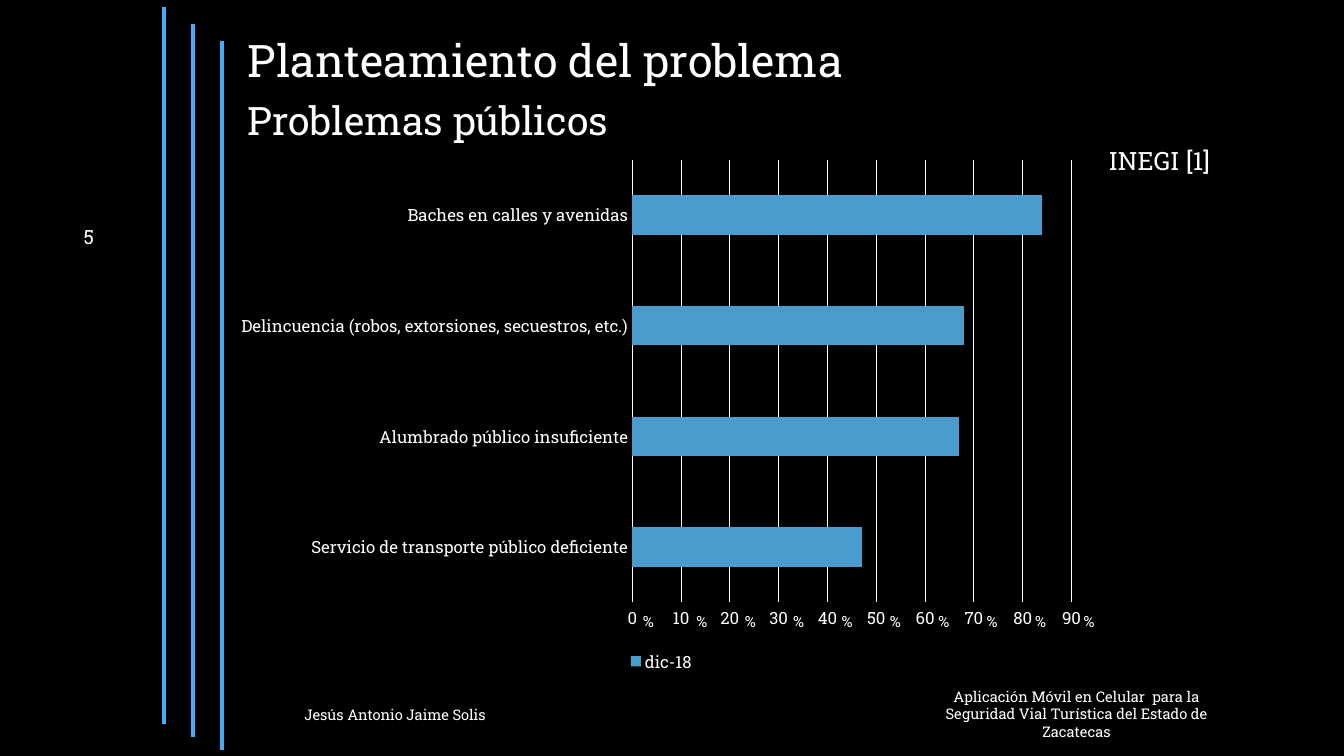
from dataclasses import dataclass
from lxml.etree import SubElement
from pptx import Presentation
from pptx.chart.data import CategoryChartData
from pptx.dml.color import RGBColor
from pptx.enum.chart import XL_CHART_TYPE, XL_LEGEND_POSITION, XL_TICK_MARK
from pptx.enum.shapes import MSO_CONNECTOR
from pptx.enum.text import MSO_ANCHOR, MSO_AUTO_SIZE, PP_ALIGN
from pptx.oxml import parse_xml
from pptx.oxml.ns import nsdecls, qn
from pptx.util import Inches, Pt


@dataclass(frozen=True)
class Theme:
    background: RGBColor = RGBColor(0x00, 0x00, 0x00)
    ink: RGBColor = RGBColor(0xFF, 0xFF, 0xFF)
    stripe: RGBColor = RGBColor(0x45, 0xAD, 0xF8)
    bar: RGBColor = RGBColor(0x4A, 0x9C, 0xCC)
    font: str = "Roboto Slab"
    title: float = 32
    subtitle: float = 28
    source: float = 18
    number: float = 14
    axis: float = 12
    percent: float = 11
    footer: float = 10.5


theme = Theme()
deck = Presentation()
deck.slide_width, deck.slide_height = Inches(13.33), Inches(7.5)
slide = deck.slides.add_slide(deck.slide_layouts[5])
slide.background.fill.solid()
slide.background.fill.fore_color.rgb = theme.background


def area(left, top, width, height):
    """Turn percentages of the slide into lengths."""
    across, down = deck.slide_width / 100, deck.slide_height / 100
    return int(left * across), int(top * down), int(width * across), int(height * down)


def write(box, words, size, align=PP_ALIGN.LEFT, anchor=MSO_ANCHOR.TOP, wrap=True):
    frame = box.text_frame
    frame.text = words
    frame.word_wrap = wrap
    frame.auto_size = MSO_AUTO_SIZE.NONE
    frame.vertical_anchor = anchor
    paragraph = frame.paragraphs[0]
    paragraph.alignment = align
    font = paragraph.runs[0].font
    font.name, font.size, font.color.rgb = theme.font, Pt(size), theme.ink


# Stripes on the left
for step in range(3):
    x, top, _, height = area(12.2 + 2.15 * step, 0.93 + 2.27 * step, 0, 94.87 - 0.54 * step)
    stripe = slide.shapes.add_connector(MSO_CONNECTOR.STRAIGHT, x, top, x, top + height)
    stripe.line.color.rgb, stripe.line.width = theme.stripe, Pt(3)
    SubElement(stripe.element.spPr, qn("a:effectLst"))

# Headings
title = slide.shapes.title
title.left, title.top, title.width, title.height = area(17.7, 3.6, 48.2, 8.53)
write(title, "Planteamiento del problema", theme.title)

middle = MSO_ANCHOR.MIDDLE
texts = [
    ((17.7, 12.13, 56.25, 7.6), "Problemas públicos", theme.subtitle, {}),
    ((81.75, 18.53, 9.7, 5.33), "INEGI [1]", theme.source, {"wrap": False}),
    ((1.58, 28.67, 6.15, 5.33), "5", theme.number, {"align": PP_ALIGN.RIGHT, "anchor": middle}),
    ((21.9, 91.87, 54.75, 5.33), "Jesús Antonio Jaime Solis", theme.footer, {"anchor": middle}),
    ((67.8, 90.27, 24.6, 8.4),
     "Aplicación Móvil en Celular  para la Seguridad Vial Turística del Estado de Zacatecas",
     theme.footer, {"align": PP_ALIGN.CENTER}),
]
for place, words, size, options in texts:
    write(slide.shapes.add_textbox(*area(*place)), words, size, **options)

# Public problems, from the lowest bar up
problems = CategoryChartData()
problems.categories = [
    "Servicio de transporte público deficiente",
    "Alumbrado público insuficiente",
    "Delincuencia (robos, extorsiones, secuestros, etc.)",
    "Baches en calles y avenidas",
]
problems.add_series("dic-18", [47, 67, 68, 84])
chart = slide.shapes.add_chart(
    XL_CHART_TYPE.BAR_CLUSTERED, *area(16.65, 19.73, 65.1, 69.73), problems
).chart
chart.has_title = False
chart.font.name, chart.font.size, chart.font.color.rgb = theme.font, Pt(theme.axis), theme.ink
chart.has_legend = True
chart.legend.position = XL_LEGEND_POSITION.BOTTOM
chart.legend.include_in_layout = False

bars = chart.plots[0]
bars.gap_width, bars.vary_by_categories = 182, False
bars.series[0].format.fill.solid()
bars.series[0].format.fill.fore_color.rgb = theme.bar

categories, values = chart.category_axis, chart.value_axis
for axis in (categories, values):
    axis.major_tick_mark = axis.minor_tick_mark = XL_TICK_MARK.NONE
values.minimum_scale, values.maximum_scale, values.major_unit = 0, 90, 10
values.format.line.fill.background()
for line in (categories.format.line, values.major_gridlines.format.line):
    line.color.rgb, line.width = theme.ink, Pt(0.75)

plot_area = bars._element.getparent()
for layout in plot_area.findall(qn("c:layout")):
    plot_area.remove(layout)
plot_area.insert(0, parse_xml(
    f'<c:layout {nsdecls("c")}><c:manualLayout><c:layoutTarget val="inner"/>'
    '<c:xMode val="edge"/><c:yMode val="edge"/><c:x val="0.467"/><c:y val="0.02"/>'
    '<c:w val="0.502"/><c:h val="0.84"/></c:manualLayout></c:layout>'))

# Percent signs beside the axis numbers; the single-digit zero sits closer
for mark in range(10):
    left = 47.48 + 3.6 * mark - (0.38 if mark == 0 else 0)
    sign = slide.shapes.add_textbox(*area(left, 80.27, 2.62, 3.87))
    write(sign, "%", theme.percent, wrap=False)

deck.save("out.pptx")
